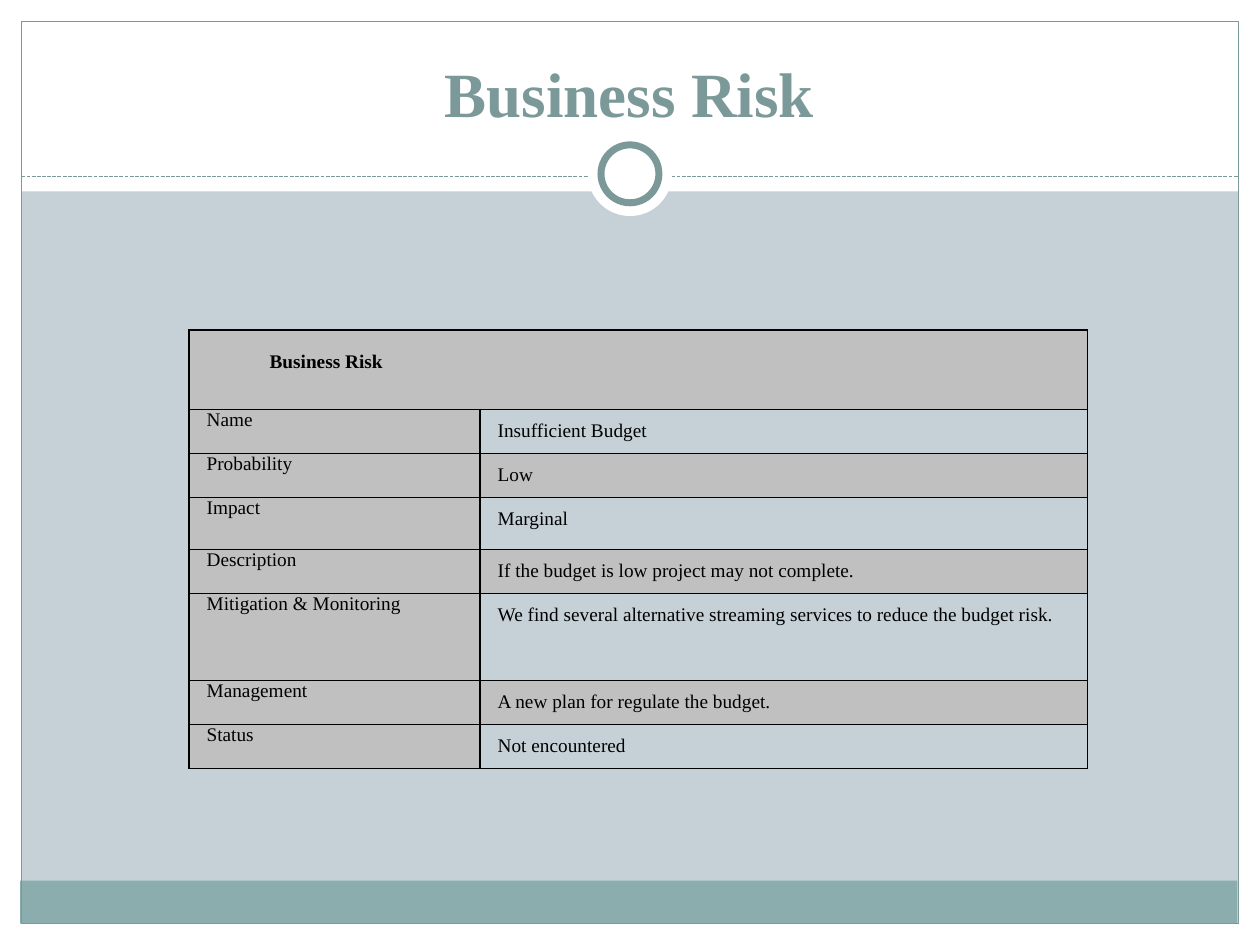
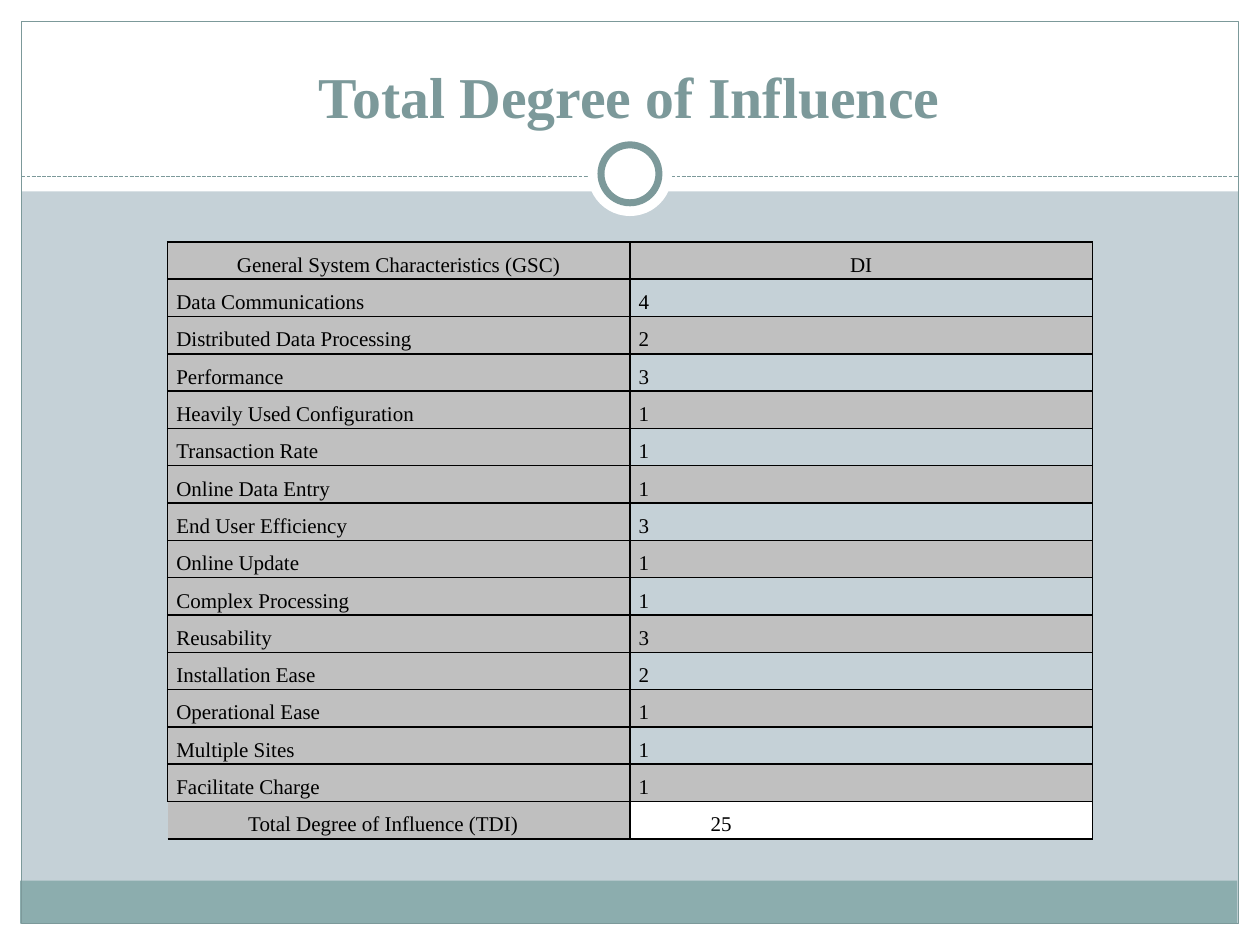
from lxml.etree import SubElement
from pptx import Presentation
from pptx.dml.color import RGBColor
from pptx.enum.dml import MSO_LINE
from pptx.enum.shapes import MSO_CONNECTOR, MSO_SHAPE as SHAPE
from pptx.enum.text import MSO_ANCHOR, MSO_AUTO_SIZE, PP_ALIGN as ALIGN
from pptx.oxml.ns import qn
from pptx.util import Inches, Pt

COLORS = {
    "background": "C5D1D7",
    "paper": "FFFFFF",
    "accent": "7C999A",
    "footer": "8CADAE",
    "shade": "C0C0C0",
    "total": "BFBFBF",
    "ink": "000000",
}
FONT = "Times New Roman"
WIDTH, HEIGHT, MARGIN = 10, 7.5, 0.17
BORDERS = ("lnL", "lnR", "lnT", "lnB")

RISK = [
    ("\tBusiness Risk", ""),
    ("Name", "Insufficient Budget"),
    ("Probability", "Low"),
    ("Impact", "Marginal"),
    ("Description", "If the budget is low project may not complete."),
    ("Mitigation & Monitoring",
     "We find several alternative streaming services to reduce the budget risk."),
    ("Management", "A new plan for regulate the budget."),
    ("Status", "Not encountered"),
]
RISK_ROWS = [0.63, 0.35, 0.35, 0.41, 0.35, 0.69, 0.35, 0.35]

INFLUENCE = [
    ("General System Characteristics (GSC)", "DI"),
    ("Data Communications", "4"),
    ("Distributed Data Processing", "2"),
    ("Performance", "3"),
    ("Heavily Used Configuration", "1"),
    ("Transaction Rate", "1"),
    ("Online Data Entry", "1"),
    ("End User Efficiency", "3"),
    ("Online Update", "1"),
    ("Complex Processing", "1"),
    ("Reusability", "3"),
    ("Installation Ease", "2"),
    ("Operational Ease", "1"),
    ("Multiple Sites", "1"),
    ("Facilitate Charge", "1"),
    ("Total Degree of Influence (TDI)", "25"),
]


def rgb(name):
    """Return the named colour."""
    return RGBColor.from_string(COLORS[name])


def write(frame, text, size=12, color="ink", bold=False, align=ALIGN.LEFT,
          spacing=1.0, before=0, left=0, first=0, tab=None):
    """Fill a text frame with one formatted paragraph."""
    paragraph = frame.paragraphs[0]
    paragraph.alignment = align
    paragraph.line_spacing = spacing
    paragraph.space_before = Pt(before)
    run = paragraph.add_run()
    run.text = text
    run.font.name, run.font.size, run.font.bold = FONT, Pt(size), bold
    run.font.color.rgb = rgb(color)
    props = paragraph._p.get_or_add_pPr()
    props.set("marL", str(Inches(left)))
    props.set("indent", str(Inches(first)))
    if tab:
        tabs = SubElement(props, qn("a:tabLst"))
        SubElement(tabs, qn("a:tab"), pos=str(Inches(tab)), algn="ctr")


def add_part(slide, kind, box, fill=None, line=None, weight=0.75):
    """Add a preset shape with plain fill and line."""
    part = slide.shapes.add_shape(kind, *map(Inches, box))
    part.shadow.inherit = False
    if fill:
        part.fill.solid()
        part.fill.fore_color.rgb = rgb(fill)
    else:
        part.fill.background()
    if line:
        part.line.color.rgb = rgb(line)
        part.line.width = Pt(weight)
    else:
        part.line.fill.background()
    return part


def add_divider(slide, left, right, y):
    """Add the dashed line under the title."""
    divider = slide.shapes.add_connector(
        MSO_CONNECTOR.STRAIGHT, Inches(left), Inches(y), Inches(right), Inches(y))
    divider.line.color.rgb = rgb("accent")
    divider.line.width = Pt(0.75)
    divider.line.dash_style = MSO_LINE.SQUARE_DOT
    SubElement(divider.element.spPr, qn("a:effectLst"))
    return divider


def add_disc(slide, diameter, **style):
    """Add a disc centred on the divider's ornament."""
    box = (WIDTH / 2 - diameter / 2, 1.38 - diameter / 2, diameter, diameter)
    return add_part(slide, SHAPE.OVAL, box, "paper", **style)


def build_layout(layout, slide):
    """Give the layout its background, bands, frame and title place."""
    layout.background.fill.solid()
    layout.background.fill.fore_color.rgb = rgb("background")
    for holder in list(layout.placeholders):
        if holder.placeholder_format.idx:
            holder.element.getparent().remove(holder.element)
        else:
            holder.left, holder.top = Inches(0.33), Inches(0.25)
            holder.width, holder.height = Inches(9.33), Inches(0.83)
    inner = WIDTH - 2 * MARGIN
    bands = [
        (0, HEIGHT - MARGIN, WIDTH, MARGIN),
        (0, 0, WIDTH, 1.52),
        (0, 0, MARGIN, HEIGHT),
        (WIDTH - MARGIN, 0, MARGIN, HEIGHT),
    ]
    parts = [add_part(slide, SHAPE.RECTANGLE, band, "paper") for band in bands]
    parts += [
        add_part(slide, SHAPE.RECTANGLE, (0.16, 6.99, inner, 0.34), "footer"),
        add_part(slide, SHAPE.RECTANGLE,
                 (MARGIN, MARGIN, inner, HEIGHT - 2 * MARGIN), line="accent"),
        add_divider(slide, MARGIN, WIDTH - MARGIN, 1.4),
        add_disc(slide, 0.67),
        add_disc(slide, 0.46, line="accent", weight=4),
    ]
    for part in parts:
        layout.shapes.element.append(part.element)


def add_title(slide, text, size):
    """Write the slide title in its placeholder."""
    frame = slide.shapes.title.text_frame
    frame.auto_size = MSO_AUTO_SIZE.NONE
    frame.vertical_anchor = MSO_ANCHOR.BOTTOM
    write(frame, text, size=size, color="accent", bold=True, align=ALIGN.CENTER)


def style_cell(cell, fill, open_sides=()):
    """Set margins, borders and fill of a cell."""
    cell.margin_left = cell.margin_right = Inches(0.07)
    cell.margin_top = cell.margin_bottom = 0
    props = cell._tc.get_or_add_tcPr()
    for side in BORDERS:
        border = SubElement(props, qn(f"a:{side}"), w=str(Pt(1)))
        if side in open_sides:
            SubElement(border, qn("a:noFill"))
        else:
            ink = SubElement(border, qn("a:solidFill"))
            SubElement(ink, qn("a:srgbClr"), val=COLORS["ink"])
    if fill:
        cell.fill.solid()
        cell.fill.fore_color.rgb = rgb(fill)
    else:
        cell.fill.background()


def add_grid(slide, left, top, columns, rows):
    """Add an unstyled table with the given column widths and row heights."""
    grid = slide.shapes.add_table(
        len(rows), len(columns), Inches(left), Inches(top),
        Inches(sum(columns)), Inches(sum(rows))).table
    grid.first_row = grid.horz_banding = False
    for column, width in zip(grid.columns, columns):
        column.width = Inches(width)
    for row, height in zip(grid.rows, rows):
        row.height = Inches(height)
    return grid


def band_fill(row, column):
    """Shade the label column and every other row."""
    return "shade" if column == 0 or row % 2 == 0 else None


def risk_slide(slide):
    """Build the business risk slide."""
    add_title(slide, "Business Risk", 36)
    grid = add_grid(slide, 1.5, 2.62, [2.31, 4.82], RISK_ROWS)
    grid.cell(0, 0).merge(grid.cell(0, 1))
    for row, texts in enumerate(RISK):
        for column, text in enumerate(texts):
            cell = grid.cell(row, column)
            style_cell(cell, band_fill(row, column))
            if row == 0:
                form = {"bold": True, "spacing": 2.0, "before": 12, "tab": 3.16}
            else:
                form = {"spacing": 1.5 if column else 1.0}
            if text:
                write(cell.text_frame, text, size=11, left=0.07, **form)


def influence_slide(slide):
    """Build the total degree of influence slide."""
    add_title(slide, "Total Degree of Influence", 33)
    count = len(INFLUENCE)
    grid = add_grid(slide, 1.33, 1.92, [3.67, 3.67], [4.74 / count] * count)
    for row, texts in enumerate(INFLUENCE):
        for column, text in enumerate(texts):
            cell = grid.cell(row, column)
            form = {"align": ALIGN.JUSTIFY if row else ALIGN.CENTER}
            if row == count - 1:
                style_cell(cell, ("total", "paper")[column],
                           () if column else ("lnL",))
                form = {"align": (ALIGN.JUSTIFY, ALIGN.LEFT)[column],
                        "left": 0.07, "first": 0.5}
            else:
                style_cell(cell, band_fill(row, column))
            write(cell.text_frame, text, spacing=1.5, before=6, **form)


def main():
    """Build and save the presentation."""
    deck = Presentation()
    deck.slide_width, deck.slide_height = Inches(WIDTH), Inches(HEIGHT)
    layout = deck.slide_layouts[5]
    risk, influence = (deck.slides.add_slide(layout) for _ in range(2))
    build_layout(layout, risk)
    risk_slide(risk)
    influence_slide(influence)
    deck.save("out.pptx")


if __name__ == "__main__":
    main()
